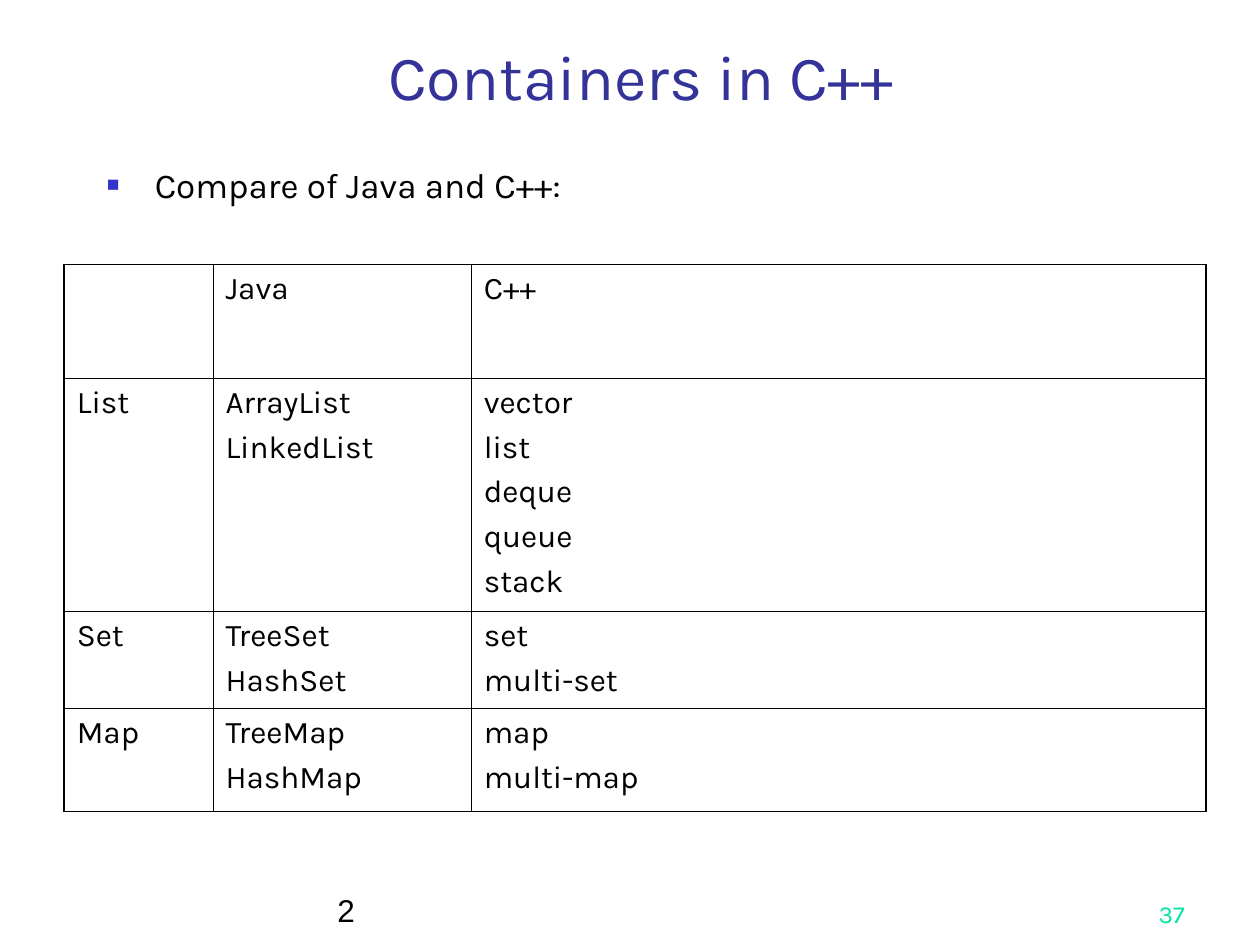
from dataclasses import dataclass

from lxml.etree import SubElement
from pptx import Presentation
from pptx.dml.color import RGBColor
from pptx.enum.text import MSO_ANCHOR, PP_ALIGN
from pptx.oxml.ns import qn
from pptx.util import Inches, Pt


@dataclass(frozen=True)
class Theme:
    font: str = "Karla"
    plain_font: str = "Arial"
    title: str = "333399"
    text: str = "000000"
    bullet: str = "3333CC"
    page: str = "00E4A8"
    title_size: float = 36
    body_size: float = 20
    table_size: float = 18
    footer_size: float = 18
    page_size: float = 14
    outer_line: float = 1.08
    inner_line: float = 0.45


THEME = Theme()

COLUMN_WIDTHS = (1.18, 2.05, 5.83)
ROW_HEIGHTS = (0.9, 1.85, 0.77, 0.82)
CONTAINERS = (
    ((), ("Java",), ("C++",)),
    (("List",), ("ArrayList", "LinkedList"),
     ("vector", "list", "deque", "queue", "stack")),
    (("Set",), ("TreeSet", "HashSet"), ("set", "multi-set")),
    (("Map",), ("TreeMap", "HashMap"), ("map", "multi-map")),
)


def add_run(paragraph, words, size, color=THEME.text, font=THEME.font):
    run = paragraph.add_run()
    run.text = words
    run.font.name = font
    run.font.size = Pt(size)
    run.font.color.rgb = RGBColor.from_string(color)


def add_line(slide, box, words, size, color=THEME.text, font=THEME.font,
             align=PP_ALIGN.LEFT, anchor=MSO_ANCHOR.BOTTOM):
    """Place one line of text in a box and return its paragraph."""
    frame = slide.shapes.add_textbox(*map(Inches, box)).text_frame
    frame.word_wrap = True
    frame.vertical_anchor = anchor
    paragraph = frame.paragraphs[0]
    paragraph.alignment = align
    add_run(paragraph, words, size, color, font)
    return paragraph


def add_title(slide, box):
    add_line(slide, box, "Containers in C++", THEME.title_size, THEME.title,
             align=PP_ALIGN.CENTER)


def add_bullet_line(slide, box):
    paragraph = add_line(slide, box, "Compare of Java and C++:",
                         THEME.body_size, anchor=MSO_ANCHOR.TOP)
    properties = paragraph._p.get_or_add_pPr()
    indent = Inches(0.38)
    properties.set("marL", str(indent))
    properties.set("indent", str(-indent))
    color = SubElement(properties, qn("a:buClr"))
    SubElement(color, qn("a:srgbClr"), val=THEME.bullet)
    SubElement(properties, qn("a:buSzPct"), val="60000")
    SubElement(properties, qn("a:buFont"), typeface=THEME.plain_font)
    SubElement(properties, qn("a:buChar"), char="■")
    paragraph.line_spacing = 0.8


def set_border(cell, side, width):
    line = SubElement(cell._tc.get_or_add_tcPr(), qn(f"a:ln{side}"),
                      w=str(Pt(width)))
    fill = SubElement(line, qn("a:solidFill"))
    SubElement(fill, qn("a:srgbClr"), val=THEME.text)


def fill_cell(cell, names):
    cell.fill.background()
    frame = cell.text_frame
    for index, name in enumerate(names):
        paragraph = frame.add_paragraph() if index else frame.paragraphs[0]
        if index:
            paragraph.space_before = Pt(4.5)
        add_run(paragraph, name, THEME.table_size)


def add_container_table(slide, box):
    last_row, last_column = len(ROW_HEIGHTS) - 1, len(COLUMN_WIDTHS) - 1
    table = slide.shapes.add_table(
        last_row + 1, last_column + 1, *map(Inches, box)).table
    table.first_row = table.horz_banding = False
    for column, width in zip(table.columns, COLUMN_WIDTHS):
        column.width = Inches(width)
    for row, height in zip(table.rows, ROW_HEIGHTS):
        row.height = Inches(height)
    for r, row in enumerate(CONTAINERS):
        for c, names in enumerate(row):
            cell = table.cell(r, c)
            on_edge = {"L": c == 0, "R": c == last_column,
                       "T": r == 0, "B": r == last_row}
            for side, outer in on_edge.items():
                set_border(cell, side,
                           THEME.outer_line if outer else THEME.inner_line)
            fill_cell(cell, names)


def add_footer(slide, box):
    """Place the footer text at the left and the page number at the right."""
    left, top, width, height = box
    page_width = 2.08
    add_line(slide, (left, top, 5.42, height), "2", THEME.footer_size,
             font=THEME.plain_font)
    add_line(slide, (left + width - page_width, top, page_width, height),
             "37", THEME.page_size, THEME.page, align=PP_ALIGN.RIGHT)


def main():
    deck = Presentation()
    deck.slide_width, deck.slide_height = Inches(10), Inches(7.5)
    slide = deck.slides.add_slide(deck.slide_layouts[6])
    add_title(slide, (0.83, 0.21, 8.52, 0.74))
    add_bullet_line(slide, (0.75, 1.31, 8.35, 0.63))
    add_container_table(
        slide, (0.51, 2.1, sum(COLUMN_WIDTHS), sum(ROW_HEIGHTS)))
    add_footer(slide, (2.58, 6.92, 6.92, 0.5))
    deck.save("out.pptx")


if __name__ == "__main__":
    main()
